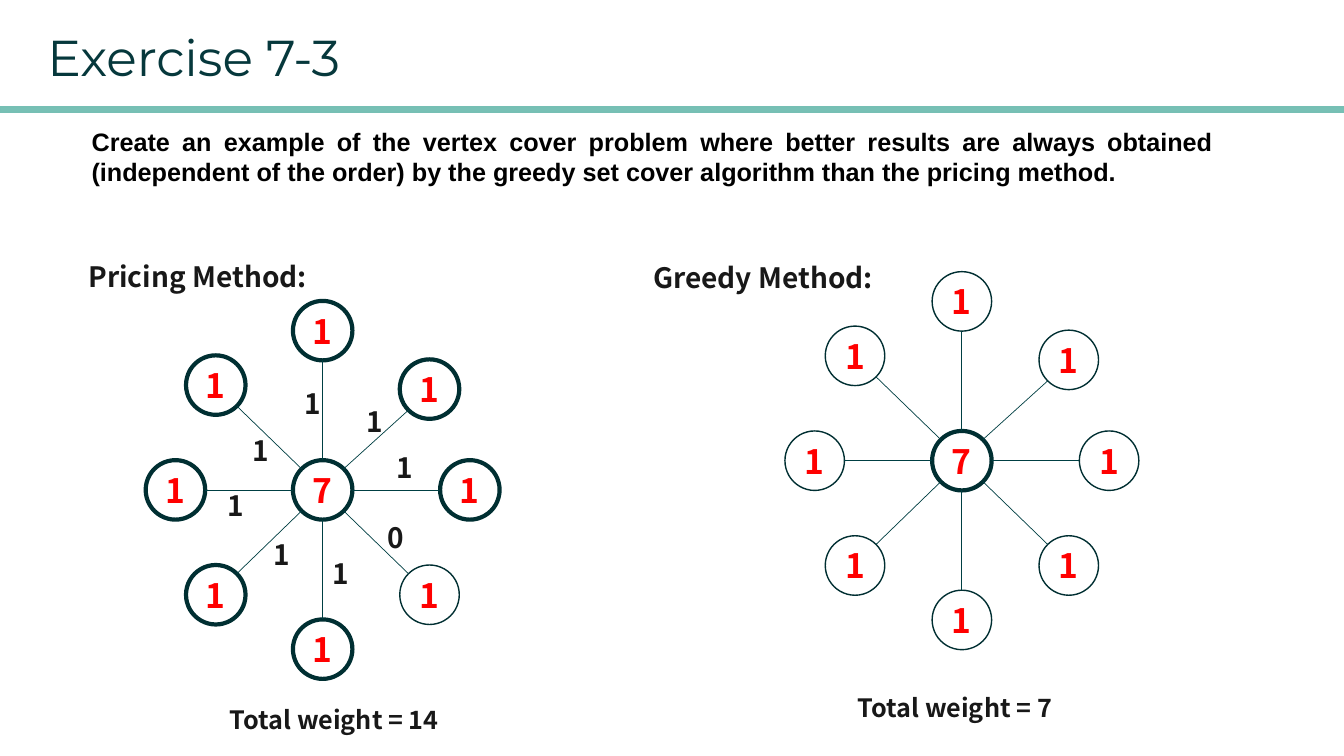
"""Build a slide comparing the pricing and greedy methods on a star graph."""
from math import hypot

from lxml import etree
from pptx import Presentation
from pptx.dml.color import RGBColor
from pptx.enum.shapes import MSO_CONNECTOR, MSO_SHAPE
from pptx.enum.text import MSO_ANCHOR, MSO_AUTO_SIZE, PP_ALIGN
from pptx.oxml.ns import qn
from pptx.util import Inches, Pt

RECTANGLE, OVAL = MSO_SHAPE.RECTANGLE, MSO_SHAPE.OVAL
STRAIGHT = MSO_CONNECTOR.STRAIGHT
TOP, MIDDLE = MSO_ANCHOR.TOP, MSO_ANCHOR.MIDDLE
LEFT, CENTER, JUSTIFY = PP_ALIGN.LEFT, PP_ALIGN.CENTER, PP_ALIGN.JUSTIFY
GROW = MSO_AUTO_SIZE.SHAPE_TO_FIT_TEXT
NO_RESIZE = MSO_AUTO_SIZE.NONE

TEAL = RGBColor(0x77, 0xC0, 0xB5)
TEAL_EDGE = RGBColor(0x76, 0xBF, 0xB4)
TITLE_GREEN = RGBColor(0x06, 0x38, 0x3C)
NODE_GREEN = RGBColor(0x00, 0x2F, 0x32)
EDGE_GREEN = RGBColor(0x00, 0x3F, 0x43)
BLACK = RGBColor(0x00, 0x00, 0x00)
CHARCOAL = RGBColor(0x18, 0x18, 0x18)
RED = RGBColor(0xFF, 0x00, 0x00)

GRAPH_FONT = "Noto Sans CJK SC"
TITLE_FORMAT = {"name": "Montserrat", "size": Pt(36), "bold": False}
TASK_FORMAT = {"name": "Arial", "size": Pt(18), "bold": True}
NODE_FORMAT = {"name": GRAPH_FONT, "size": Pt(24), "bold": True}
LABEL_FORMAT = {"name": GRAPH_FONT, "size": Pt(20), "bold": True}
TOTAL_FORMAT = {"name": GRAPH_FONT, "size": Pt(18), "bold": True}

TASK = (
    "Create an example of the vertex cover problem where better results are "
    "always obtained (independent of the order) by the greedy set cover "
    "algorithm than the pricing method."
)
RADIUS = 0.295
THICK, THIN = 3, 1
LEAF_OFFSETS = {
    "north": (0, -1.58), "northeast": (1.06, -1), "east": (1.46, 0),
    "southeast": (1.06, 1.04), "south": (0, 1.58), "southwest": (-1.06, 1.04),
    "west": (-1.46, 0), "northwest": (-1.06, -1.04),
}
PRICES = [
    ("1", 2.92, 3.79), ("1", 3.54, 3.96), ("1", 3.83, 4.42), ("0", 3.74, 5.11),
    ("1", 3.2, 5.47), ("1", 2.61, 5.28), ("1", 2.16, 4.8), ("1", 2.41, 4.25),
]


def write_text(shape, text, formats, color, align=LEFT, anchor=TOP, resize=GROW):
    """Fill a shape with one formatted paragraph."""
    frame = shape.text_frame
    frame.text = text
    frame_formats = {"word_wrap": True, "auto_size": resize, "vertical_anchor": anchor}
    for name, value in frame_formats.items():
        setattr(frame, name, value)
    paragraph = frame.paragraphs[0]
    paragraph.alignment = align
    font = paragraph.runs[0].font
    for name, value in formats.items():
        setattr(font, name, value)
    font.color.rgb = color


def add_title(slide, text):
    """Place and format the title placeholder."""
    title = slide.shapes.title
    place = {"left": 0.37, "top": 0.21, "width": 5.67, "height": 0.71}
    for name, value in place.items():
        setattr(title, name, Inches(value))
    write_text(title, text, TITLE_FORMAT, TITLE_GREEN)


def add_label(slide, text, box, formats, color=CHARCOAL, align=LEFT):
    """Add a text box at the given left, top, width and height."""
    label = slide.shapes.add_textbox(*map(Inches, box))
    write_text(label, text, formats, color, align)


def add_divider(slide):
    """Add the coloured bar below the title."""
    bar = slide.shapes.add_shape(
        RECTANGLE, 0, Inches(1.06), Inches(13.33), Inches(0.05))
    bar.shadow.inherit = False
    bar.fill.solid()
    bar.fill.fore_color.rgb = TEAL
    bar.line.color.rgb = TEAL_EDGE
    bar.line.width = Pt(1)


def add_node(shapes, x, y, weight, outline):
    """Add a weighted vertex centred on a point."""
    node = shapes.add_shape(
        OVAL, Inches(x - RADIUS), Inches(y - RADIUS),
        Inches(2 * RADIUS), Inches(2 * RADIUS))
    node.shadow.inherit = False
    node.fill.background()
    node.line.color.rgb = NODE_GREEN
    node.line.width = Pt(outline)
    write_text(node, weight, NODE_FORMAT, RED, CENTER, MIDDLE, NO_RESIZE)


def add_edge(shapes, x, y, offset_x, offset_y):
    """Join the rims of the hub and a leaf at their facing compass points."""
    step_x = (offset_x > 0) - (offset_x < 0)
    step_y = (offset_y > 0) - (offset_y < 0)
    reach = RADIUS / hypot(step_x, step_y)
    rim_x, rim_y = step_x * reach, step_y * reach
    edge = shapes.add_connector(
        STRAIGHT, Inches(x + rim_x), Inches(y + rim_y),
        Inches(x + offset_x - rim_x), Inches(y + offset_y - rim_y))
    edge.line.color.rgb = EDGE_GREEN
    edge.line.width = Pt(0.5)
    etree.SubElement(edge.element.spPr, qn("a:effectLst"))


def add_star(slide, x, y, covered):
    """Add a grouped star graph whose hub and covered leaves are thick."""
    shapes = slide.shapes.add_group_shape().shapes
    add_node(shapes, x, y, "7", THICK)
    for direction, (offset_x, offset_y) in LEAF_OFFSETS.items():
        outline = THICK if direction in covered else THIN
        add_node(shapes, x + offset_x, y + offset_y, "1", outline)
        add_edge(shapes, x, y, offset_x, offset_y)


def main():
    """Build and save the slide."""
    presentation = Presentation()
    presentation.slide_width = Inches(13.33)
    presentation.slide_height = Inches(7.5)
    slide = presentation.slides.add_slide(presentation.slide_layouts[5])
    add_divider(slide)
    add_title(slide, "Exercise 7-3")
    add_label(slide, TASK, (0.81, 1.2, 11.32, 0.71), TASK_FORMAT, BLACK, JUSTIFY)

    add_star(slide, 3.2, 4.86, set(LEAF_OFFSETS) - {"southeast"})
    add_label(slide, "Pricing Method:", (0.78, 2.53, 2.95, 0.44), LABEL_FORMAT)
    add_label(slide, "Total weight = 14", (2.18, 6.94, 2.75, 0.4), TOTAL_FORMAT)
    for price, left, top in PRICES:
        add_label(slide, price, (left, top, 0.32, 0.44), LABEL_FORMAT)

    add_star(slide, 9.54, 4.57, set())
    add_label(slide, "Greedy Method:", (6.38, 2.54, 2.95, 0.44), LABEL_FORMAT)
    add_label(slide, "Total weight = 7", (8.41, 6.82, 2.75, 0.4), TOTAL_FORMAT)
    presentation.save("out.pptx")


if __name__ == "__main__":
    main()
